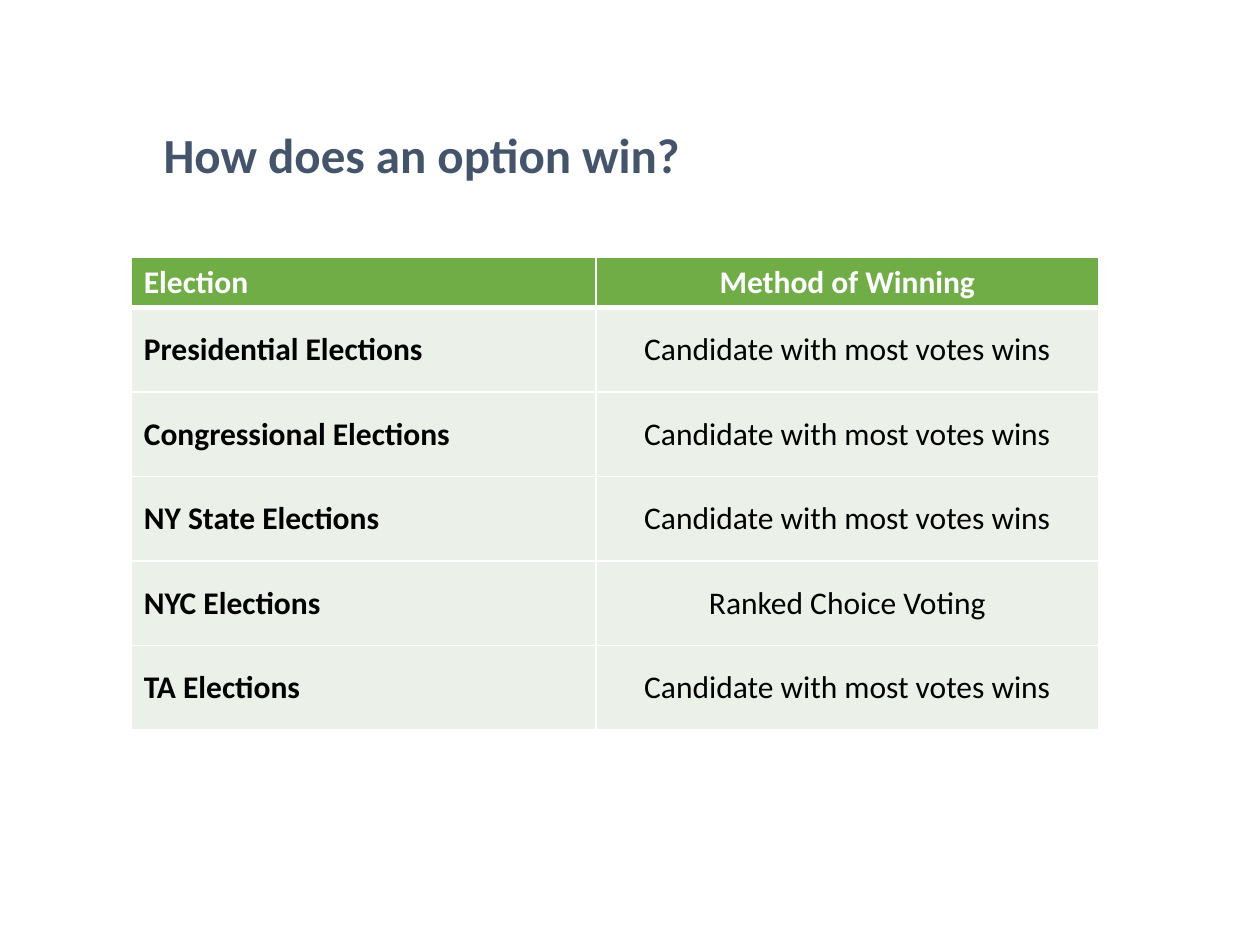
from lxml.etree import SubElement
from pptx import Presentation
from pptx.dml.color import RGBColor
from pptx.enum.text import MSO_ANCHOR as Anchor, PP_ALIGN as Align
from pptx.oxml.ns import qn
from pptx.util import Pt

MOST_VOTES = "Candidate with most votes wins"
ROWS = [
    ("Election", "Method of Winning"),
    ("Presidential Elections", MOST_VOTES),
    ("Congressional Elections", MOST_VOTES),
    ("NY State Elections", MOST_VOTES),
    ("NYC Elections", "Ranked Choice Voting"),
    ("TA Elections", MOST_VOTES),
]


def rgb(value):
    return RGBColor.from_string(value)


def write(tf, text, size, color, bold, align=Align.LEFT):
    p = tf.paragraphs[0]
    p.alignment = align
    r = p.add_run()
    r.text = text
    font = {"name": "Calibri", "size": Pt(size), "bold": bold}
    for key, value in font.items():
        setattr(r.font, key, value)
    r.font.color.rgb = rgb(color)
    return p


def set_borders(cell, widths, color):
    tc_pr = cell._tc.get_or_add_tcPr()
    for i, (side, width) in enumerate(widths.items()):
        ln = SubElement(tc_pr, qn(f"a:{side}"), w=str(Pt(width)))
        fill = SubElement(ln, qn("a:solidFill"))
        SubElement(fill, qn("a:srgbClr"), val=color)
        tc_pr.insert(i, ln)


def add_title(s, text, x, y, w, h):
    tf = s.shapes.add_textbox(Pt(x), Pt(y), Pt(w), Pt(h)).text_frame
    for key, value in {"word_wrap": True, "vertical_anchor": Anchor.BOTTOM}.items():
        setattr(tf, key, value)
    write(tf, text, 28, "44546A", True).line_spacing = 0.9


def add_election_table(s, rows, x, y, w, h):
    header_h, first_w = 26.6, 0.48 * w
    row_h = (h - header_h) / (len(rows) - 1)
    table = s.shapes.add_table(len(rows), 2, Pt(x), Pt(y), Pt(w), Pt(h)).table
    for col, width in zip(table.columns, (first_w, w - first_w)):
        col.width = Pt(width)
    for i, row in enumerate(rows):
        header = i == 0
        table.rows[i].height = Pt(header_h if header else row_h)
        for j, text in enumerate(row):
            cell = table.cell(i, j)
            cell.vertical_anchor = Anchor.MIDDLE
            cell.fill.solid()
            cell.fill.fore_color.rgb = rgb("70AD47" if header else "EBF1E9")
            widths = {"lnL": 1, "lnR": 1, "lnT": 3 if i == 1 else 1, "lnB": 3 if header else 1}
            set_borders(cell, widths, "FFFFFF")
            write(cell.text_frame, text, 18, "FFFFFF" if header else "000000",
                  header or j == 0, Align.CENTER if j else Align.LEFT)


def main():
    prs = Presentation()
    prs.slide_width, prs.slide_height = Pt(720), Pt(540)
    s = prs.slides.add_slide(prs.slide_layouts[6])
    add_title(s, "How does an option win?", 86.4, 4.3, 596, 104.4)
    add_election_table(s, ROWS, 75, 147, 553, 268)
    prs.save("out.pptx")


if __name__ == "__main__":
    main()
